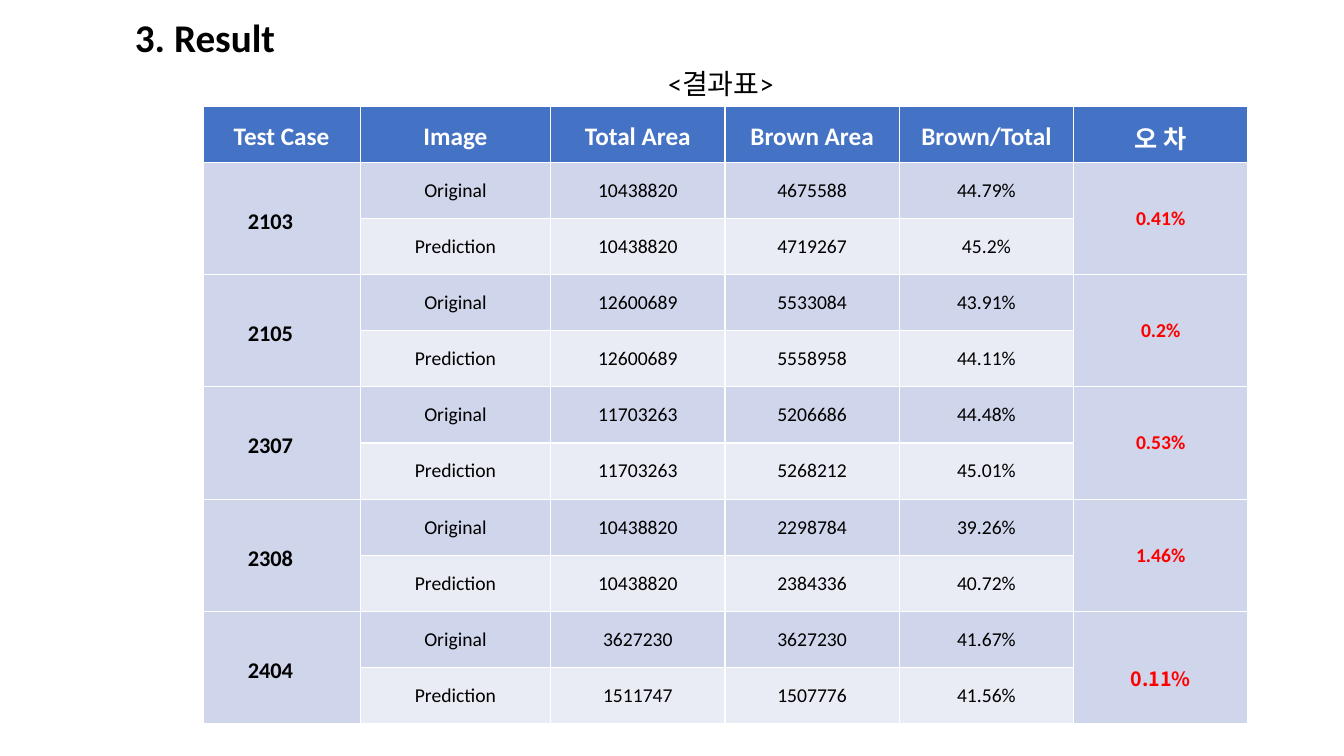
"""Build the result slide: a heading, a caption and the table of brown area per test case."""
from pptx import Presentation
from pptx import util as u
from pptx.dml import color
from pptx.enum import text

BLACK, WHITE, RED = "000000", "FFFFFF", "FF0000"
BLUE, BAND_DARK, BAND_LIGHT = "4472C4", "CFD5EA", "E9EBF5"
CENTER, LEFT = text.PP_ALIGN.CENTER, text.PP_ALIGN.LEFT


def rgb(value):
    """Turn a hex string into a colour."""
    return color.RGBColor.from_string(value)


def write(frame, words, size, ink=BLACK, bold=False, align=LEFT, font="Calibri"):
    """Add one run to the first paragraph of a text frame."""
    paragraph = frame.paragraphs[0]
    paragraph.alignment = align
    run = paragraph.add_run()
    run.text = words
    run.font.name, run.font.size, run.font.bold = font, u.Pt(size), bold
    run.font.color.rgb = rgb(ink)


presentation = Presentation()
presentation.slide_width, presentation.slide_height = u.Pt(960), u.Pt(540)
slide = presentation.slides.add_slide(presentation.slide_layouts[6])

headings = [
    ("3. Result", 28, True, (89.3, 5.8, 151.2, 41)),
    ("<결과표>", 20, False, (470.2, 43.9, 100.8, 31.7)),
]
for words, size, bold, place in headings:
    shape = slide.shapes.add_textbox(*[u.Pt(length) for length in place])
    shape.text_frame.word_wrap = True
    write(shape.text_frame, words, size, bold=bold)

headers = ["Test Case", "Image", "Total Area", "Brown Area", "Brown/Total", "오 차"]
results = [
    ("2103", "0.41%", ("10438820", "4675588", "44.79%"), ("10438820", "4719267", "45.2%")),
    ("2105", "0.2%", ("12600689", "5533084", "43.91%"), ("12600689", "5558958", "44.11%")),
    ("2307", "0.53%", ("11703263", "5206686", "44.48%"), ("11703263", "5268212", "45.01%")),
    ("2308", "1.46%", ("10438820", "2298784", "39.26%"), ("10438820", "2384336", "40.72%")),
    ("2404", "0.11%", ("3627230", "3627230", "41.67%"), ("1511747", "1507776", "41.56%")),
]
widths = [112.3, 136.1] + [124.5] * 4
row_height = 40.12
row_count = 1 + 2 * len(results)

table = slide.shapes.add_table(
    row_count, len(widths), u.Pt(145), u.Pt(75.8), u.Pt(sum(widths)), u.Pt(row_height * row_count)
).table
for column, width in zip(table.columns, widths):
    column.width = u.Pt(width)
for index, row in enumerate(table.rows):
    row.height = u.Pt(row_height)
    for cell in row.cells:
        cell.fill.solid()
        cell.fill.fore_color.rgb = rgb(BLUE if index == 0 else BAND_DARK if index % 2 else BAND_LIGHT)
        cell.vertical_anchor = text.MSO_ANCHOR.MIDDLE

for cell, header in zip(table.rows[0].cells, headers):
    cell.margin_top = u.Pt(8)
    write(cell.text_frame, header, 18, WHITE, True, CENTER)

for index, (case, error, original, prediction) in enumerate(results):
    top = 1 + 2 * index
    for column in (0, 5):
        table.cell(top, column).merge(table.cell(top + 1, column))
    case_cell, error_cell = table.cell(top, 0), table.cell(top, 5)
    case_cell.margin_left, case_cell.margin_top = u.Pt(32), u.Pt(8)
    write(case_cell.text_frame, case, 16, bold=True)
    last = index == len(results) - 1
    if last:
        error_cell.margin_top = u.Pt(18)
    write(error_cell.text_frame, error, 14, RED, True, CENTER, "Noto Sans CJK KR" if last else "Calibri")
    for offset, values in enumerate([("Original", *original), ("Prediction", *prediction)]):
        for column, value in enumerate(values, 1):
            write(table.cell(top + offset, column).text_frame, value, 14, align=CENTER)

presentation.save("out.pptx")
